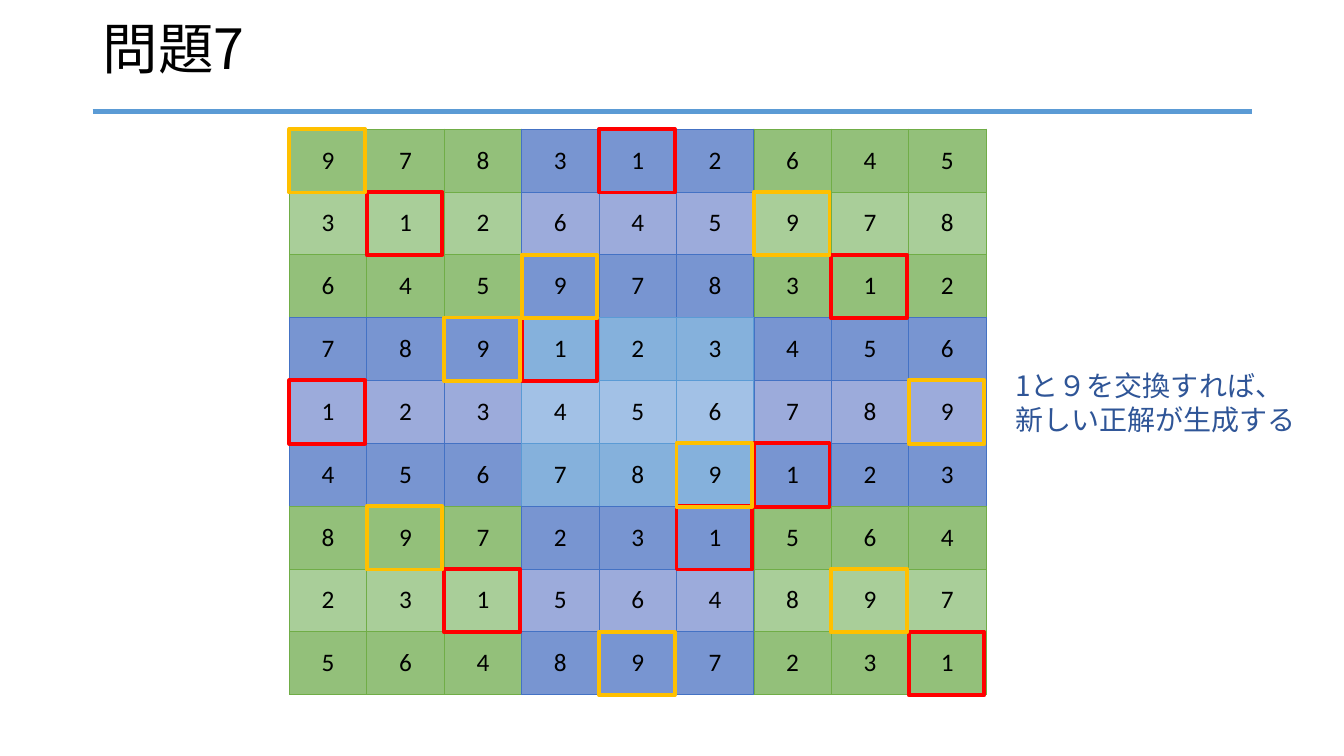
from itertools import product

from lxml import etree
from pptx import Presentation
from pptx.dml.color import RGBColor
from pptx.enum.shapes import MSO_CONNECTOR, MSO_SHAPE
from pptx.enum.text import MSO_ANCHOR, PP_ALIGN
from pptx.oxml.ns import qn
from pptx.util import Inches, Pt

STRAIGHT, RECTANGLE = MSO_CONNECTOR.STRAIGHT, MSO_SHAPE.RECTANGLE
MIDDLE, TOP, CENTER = MSO_ANCHOR.MIDDLE, MSO_ANCHOR.TOP, PP_ALIGN.CENTER

BLACK = RGBColor(0x00, 0x00, 0x00)
RULE_BLUE = RGBColor(0x5B, 0x9B, 0xD5)
NOTE_BLUE = RGBColor(0x2F, 0x55, 0x97)
RED = RGBColor(0xFF, 0x00, 0x00)
GOLD = RGBColor(0xFF, 0xC0, 0x00)
# Each theme: border, outer rows, middle row
GREEN = (RGBColor(0x70, 0xAD, 0x47), RGBColor(0x93, 0xC0, 0x7A), RGBColor(0xA9, 0xCE, 0x99))
BLUE = (RGBColor(0x44, 0x72, 0xC4), RGBColor(0x78, 0x95, 0xD1), RGBColor(0x9C, 0xAB, 0xDB))
SKY = (RULE_BLUE, RGBColor(0x85, 0xB1, 0xDC), RGBColor(0xA2, 0xC1, 0xE6))

LATIN, JAPANESE = "Calibri", "Noto Sans CJK JP"
SUDOKU = ["978312645", "312645978", "645978312",
          "789123456", "123456789", "456789123",
          "897231564", "231564897", "564897231"]
THEMES = [[GREEN, BLUE, GREEN], [BLUE, SKY, BLUE], [GREEN, BLUE, GREEN]]
MARKS = {"1": RED, "9": GOLD}
BLOCK = 3


def style_run(r, font, size, color):
    """Set font, size and colour of a run, for Latin and East Asian text."""
    r.font.name, r.font.size, r.font.color.rgb = font, Pt(size), color
    etree.SubElement(r._r.get_or_add_rPr(), qn("a:ea")).set("typeface", font)


def add_text(s, box, lines, size, color, anchor=TOP, spacing=1.0, wrap=True):
    """Add a text box with one paragraph per line."""
    tf = s.shapes.add_textbox(*map(Inches, box)).text_frame
    tf.word_wrap, tf.vertical_anchor = wrap, anchor
    tf.text = "\n".join(lines)
    for p in tf.paragraphs:
        p.line_spacing = spacing
        style_run(p.runs[0], JAPANESE, size, color)


def add_heading(s, box):
    """Add the title and the rule at the bottom of the box."""
    left, top, width, height = box
    add_text(s, (left, top, width, 0.73), ["問題7"], 39.6, BLACK, MIDDLE, 0.9)
    y = Inches(top + height)
    rule = s.shapes.add_connector(STRAIGHT, Inches(left), y, Inches(left + width), y)
    rule.line.color.rgb, rule.line.width = RULE_BLUE, Pt(3.75)
    etree.SubElement(rule._element.spPr, qn("a:effectLst"))


def border_cell(cell, color):
    """Draw a thin line on all four sides of a cell, ahead of its fill."""
    tcPr = cell._tc.get_or_add_tcPr()
    for i, side in enumerate(("a:lnL", "a:lnR", "a:lnT", "a:lnB")):
        ln = etree.Element(qn(side), w=str(Pt(0.5)))
        fill = etree.SubElement(ln, qn("a:solidFill"))
        etree.SubElement(fill, qn("a:srgbClr"), val=str(color))
        tcPr.insert(i, ln)


def add_block(s, box, digits, theme):
    """Add one 3 x 3 block as a table filling the box."""
    border, outer, middle = theme
    table = s.shapes.add_table(BLOCK, BLOCK, *map(Inches, box)).table
    table.first_row = table.horz_banding = False
    for row, col in product(range(BLOCK), repeat=2):
        cell = table.cell(row, col)
        cell.text = digits[row][col]
        cell.vertical_anchor = MIDDLE
        p = cell.text_frame.paragraphs[0]
        p.alignment = CENTER
        style_run(p.runs[0], LATIN, 18, BLACK)
        cell.fill.solid()
        cell.fill.fore_color.rgb = middle if row == 1 else outer
        border_cell(cell, border)


def add_mark(s, box, color):
    """Add an unfilled frame around one cell."""
    frame = s.shapes.add_shape(RECTANGLE, *map(Inches, box))
    frame.shadow.inherit = False
    frame.fill.background()
    frame.line.color.rgb, frame.line.width = color, Pt(2.75)


def add_sudoku(s, box):
    """Add the nine blocks, then frame every 1 and every 9."""
    left, top, width, height = box
    block_w, block_h = width / BLOCK, height / BLOCK
    for i, j in product(range(BLOCK), repeat=2):
        rows = SUDOKU[i * BLOCK:(i + 1) * BLOCK]
        digits = [row[j * BLOCK:(j + 1) * BLOCK] for row in rows]
        block_box = (left + j * block_w, top + i * block_h, block_w, block_h)
        add_block(s, block_box, digits, THEMES[i][j])

    cell_w, cell_h = width / 9, height / 9
    for digit, color in MARKS.items():
        for row, line in enumerate(SUDOKU):
            x = left + line.index(digit) * cell_w
            add_mark(s, (x, top + row * cell_h, 0.75, 0.63), color)


def main():
    """Build and save the slide."""
    prs = Presentation()
    prs.slide_width, prs.slide_height = Inches(13.33), Inches(7.5)
    s = prs.slides.add_slide(prs.slide_layouts[6])
    add_heading(s, (0.92, 0.15, 11.5, 0.96))
    add_sudoku(s, (2.87, 1.28, 6.91, 5.61))
    add_text(s, (9.97, 3.61, 3.01, 0.77),
             ["1と９を交換すれば、", "新しい正解が生成する"], 20, NOTE_BLUE, wrap=False)
    prs.save("out.pptx")


main()
